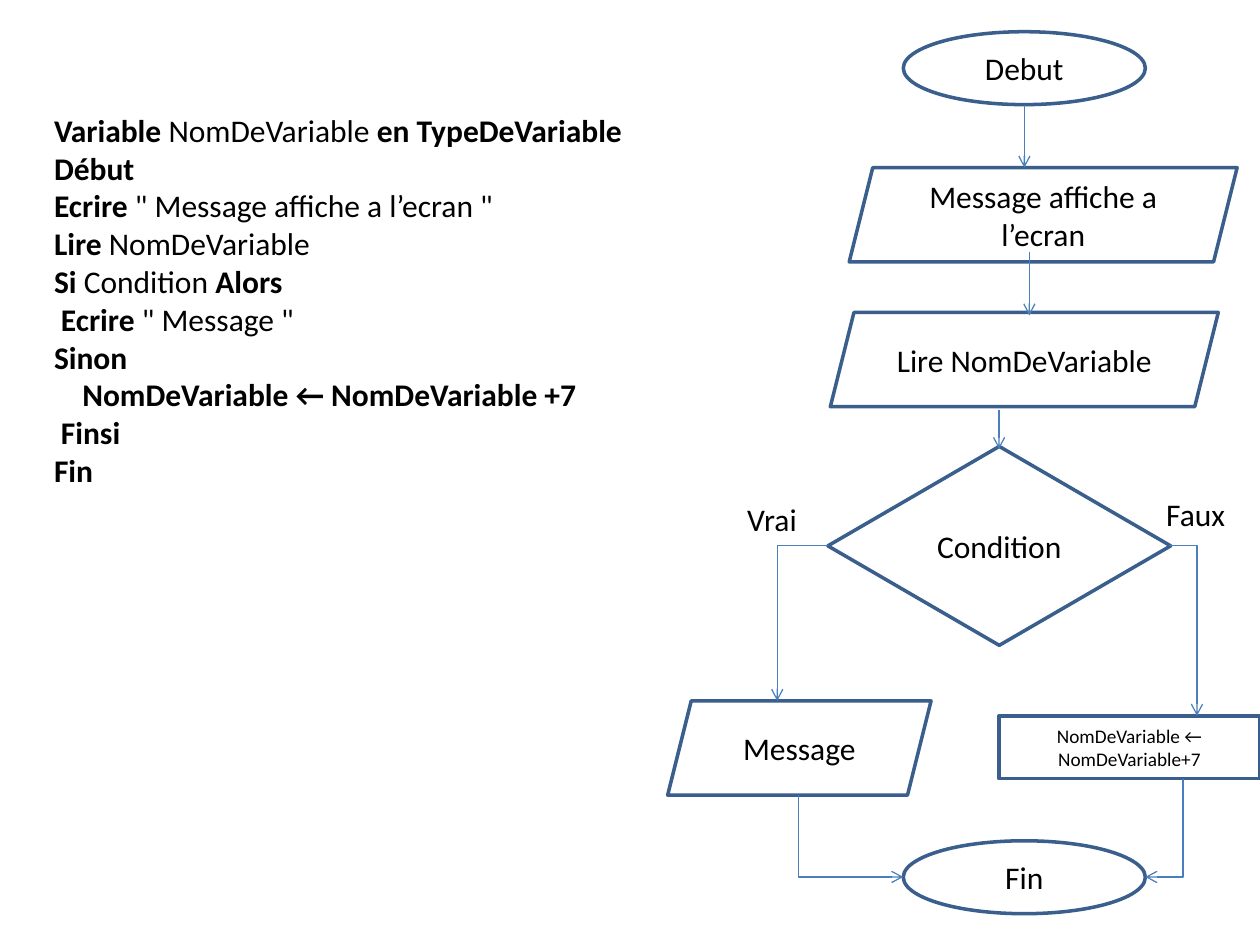
from lxml.etree import SubElement
from pptx import Presentation
from pptx.dml.color import RGBColor
from pptx.enum.shapes import MSO_CONNECTOR as Link, MSO_SHAPE as Kind
from pptx.enum.text import MSO_ANCHOR as Anchor, PP_ALIGN as Align
from pptx.oxml.ns import qn
from pptx.util import Cm, Pt

COLORS = {"edge": "3A5F8C", "arrow": "4B7EBC", "text": "000000"}
FONT = "Calibri"

# Pseudocode: indent in cm, then (text, bold) runs
CODE = [
    (0, [("Variable ", True), ("NomDeVariable ", False), ("en TypeDeVariable", True)]),
    (0, [("Début", True)]),
    (0, [("Ecrire ", True), ('" Message affiche a l’ecran "', False)]),
    (0, [("Lire ", True), ("NomDeVariable", False)]),
    (0, [("Si ", True), ("Condition ", False), ("Alors", True)]),
    (0.14, [("Ecrire ", True), ('" Message "', False)]),
    (0, [("Sinon", True)]),
    (0.57, [("NomDeVariable ← NomDeVariable +7", True)]),
    (0.14, [("Finsi", True)]),
    (0, [("Fin", True)]),
]

# Flowchart steps: kind, text, left, top, width, height, text size
STEPS = [
    (Kind.RECTANGLE, "NomDeVariable ← NomDeVariable+7", 6.68, 13.79, 5.26, 1.27, 11),
    (Kind.OVAL, "Debut", 4.75, 0, 4.88, 1.47, 18),
    (Kind.OVAL, "Fin", 4.75, 16.31, 4.88, 1.47, 18),
    (Kind.PARALLELOGRAM, "Message affiche a l’ecran", 3.66, 2.74, 7.82, 1.9, 18),
    (Kind.FLOWCHART_DECISION, "Condition", 3.23, 8.36, 6.91, 4.01, 18),
    (Kind.PARALLELOGRAM, "Lire NomDeVariable", 3.28, 5.66, 7.82, 1.9, 18),
    (Kind.PARALLELOGRAM, "Message", 0, 13.49, 5.31, 1.9, 18),
]

# Straight arrows: x, top, bottom
DROPS = [(7.19, 1.47, 2.74), (7.29, 4.45, 5.72), (6.68, 7.62, 8.41)]

# Bent arrows leave the first point sideways; the head is at the named end
BENDS = [
    (10.11, 10.36, 10.67, 13.79, "tailEnd"),
    (3.23, 10.36, 2.21, 13.49, "tailEnd"),
    (4.75, 17.04, 2.64, 15.39, "headEnd"),
    (9.63, 17.04, 10.39, 15.06, "headEnd"),
]

LABELS = [("Vrai", 1.35, 9.32), ("Faux", 9.8, 9.22)]


def paint(name):
    return RGBColor.from_string(COLORS[name])


def style(par, size=18):
    par.font.name = FONT
    par.font.size = Pt(size)
    par.font.color.rgb = paint("text")


def add_code(slide, left, top, width, height):
    frame = slide.shapes.add_textbox(Cm(left), Cm(top), Cm(width), Cm(height)).text_frame
    frame.word_wrap = True
    for i, (indent, runs) in enumerate(CODE):
        par = frame.paragraphs[0] if i == 0 else frame.add_paragraph()
        style(par)
        if indent:
            props = par._p.get_or_add_pPr()
            props.set("marL", str(Cm(indent)))
            props.set("indent", "0")
        for text, bold in runs:
            run = par.add_run()
            run.text = text
            run.font.bold = bold


def add_step(slide, kind, text, left, top, width, height, size):
    step = slide.shapes.add_shape(kind, Cm(left), Cm(top), Cm(width), Cm(height))
    step.shadow.inherit = False
    step.fill.background()
    step.line.color.rgb = paint("edge")
    step.line.width = Pt(2)
    frame = step.text_frame
    frame.word_wrap = True
    frame.vertical_anchor = Anchor.MIDDLE
    par = frame.paragraphs[0]
    par.text = text
    par.alignment = Align.CENTER
    style(par, size)


def add_arrow(slide, x1, y1, x2, y2, end="tailEnd", bent=False):
    kind = Link.ELBOW if bent else Link.STRAIGHT
    link = slide.shapes.add_connector(kind, Cm(x1), Cm(y1), Cm(x2), Cm(y2))
    link.line.color.rgb = paint("arrow")
    link.line.width = Pt(0.75)
    props = link._element.spPr
    if bent:
        props.find(qn("a:prstGeom")).set("prst", "bentConnector2")
    SubElement(props.find(qn("a:ln")), qn("a:" + end), type="arrow")
    SubElement(props, qn("a:effectLst"))


def add_label(slide, text, left, top):
    frame = slide.shapes.add_textbox(Cm(left), Cm(top), Cm(1.7), Cm(1.02)).text_frame
    frame.word_wrap = False
    frame.paragraphs[0].text = text
    style(frame.paragraphs[0])


def add_flow(slide, left, top):
    for kind, text, x, y, width, height, size in STEPS:
        add_step(slide, kind, text, left + x, top + y, width, height, size)
    for x, y1, y2 in DROPS:
        add_arrow(slide, left + x, top + y1, left + x, top + y2)
    for x1, y1, x2, y2, end in BENDS:
        add_arrow(slide, left + x1, top + y1, left + x2, top + y2, end, bent=True)
    for text, x, y in LABELS:
        add_label(slide, text, left + x, top + y)


def main():
    deck = Presentation()
    deck.slide_width, deck.slide_height = Cm(25.4), Cm(19.05)
    slide = deck.slides.add_slide(deck.slide_layouts[6])
    add_code(slide, 0.84, 2.11, 12.7, 10.26)
    add_flow(slide, 13.46, 0.64)
    deck.save("out.pptx")


if __name__ == "__main__":
    main()
